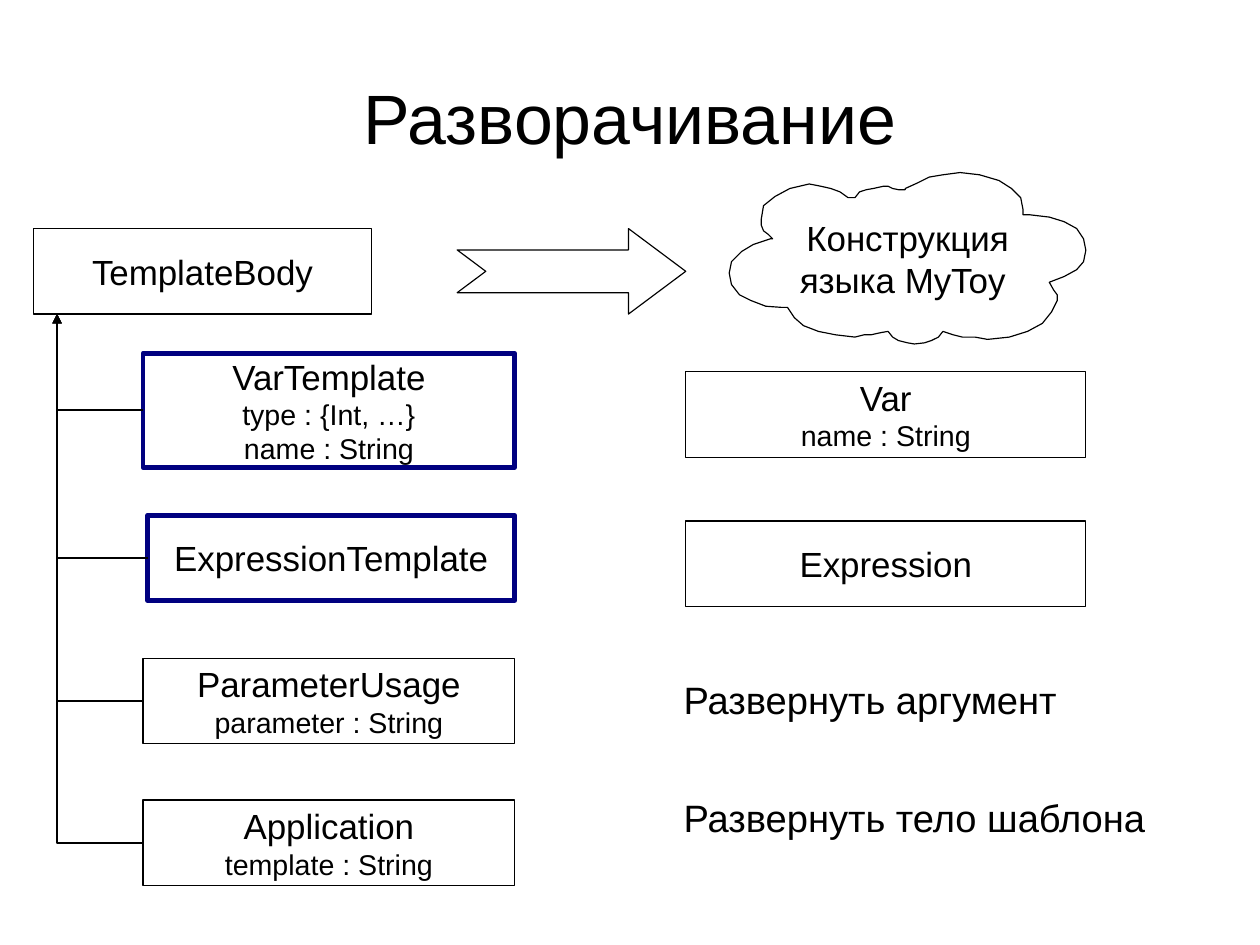
from dataclasses import dataclass

from pptx import Presentation
from pptx.dml.color import RGBColor
from pptx.enum import shapes, text
from pptx.oxml.ns import qn
from pptx.util import Cm, Pt
from lxml import etree


@dataclass(frozen=True)
class Theme:
    font: str = "Arial"
    ink: RGBColor = RGBColor(0, 0, 0)
    paper: RGBColor = RGBColor(255, 255, 255)
    accent: RGBColor = RGBColor(0, 0, 128)
    title: int = 44
    note: int = 24
    name: int = 22
    field: int = 18
    hairline: float = 0
    link: float = 1.45
    heavy: float = 2.89


THEME = Theme()
BOX_H = 1.9
LEFT_X, LEFT_W = 3.18, 8.26
RIGHT_X, RIGHT_W = 15.24, 8.89

# Cloud outline, in hundredths of an inch
CLOUD_UNIT = Cm(0.0254)
CLOUD = [
    (918, 247), (922, 254), (925, 258), (925, 263), (920, 273), (912, 283),
    (899, 290), (883, 295), (864, 297), (853, 295), (842, 295), (834, 293),
    (825, 290), (821, 295), (815, 298), (809, 300), (800, 301), (794, 300),
    (786, 298), (781, 295), (777, 290), (771, 291), (762, 293), (756, 293),
    (748, 295), (731, 293), (716, 290), (703, 285), (695, 278), (689, 269),
    (684, 269), (670, 268), (657, 263), (647, 258), (640, 249), (638, 239),
    (640, 229), (649, 220), (659, 214), (674, 209), (676, 209), (672, 205),
    (668, 202), (666, 197), (666, 192), (668, 180), (678, 172), (691, 165),
    (708, 161), (718, 163), (727, 165), (735, 168), (742, 173), (748, 173),
    (752, 168), (758, 166), (764, 165), (773, 163), (777, 163), (781, 165),
    (786, 166), (792, 166), (792, 165), (803, 160), (813, 155), (825, 153),
    (840, 151), (857, 153), (874, 158), (885, 165), (893, 173), (895, 183),
    (895, 188), (901, 188), (918, 190), (931, 194), (942, 200), (948, 209),
    (950, 219), (948, 229), (942, 236), (931, 242),
]


def write(s, lines, sizes, align=text.PP_ALIGN.CENTER, anchor=text.MSO_ANCHOR.MIDDLE):
    """Fill a shape with one paragraph per line, each in its own size."""
    tf = s.text_frame
    tf.word_wrap = True
    tf.vertical_anchor = anchor
    for i, (line, size) in enumerate(zip(lines, sizes)):
        p = tf.add_paragraph() if i else tf.paragraphs[0]
        p.alignment = align
        r = p.add_run()
        r.text = line
        r.font.name = THEME.font
        r.font.size = Pt(size)
        r.font.color.rgb = THEME.ink


def outline(s, color=THEME.ink, width=THEME.hairline):
    s.shadow.inherit = False
    s.fill.solid()
    s.fill.fore_color.rgb = THEME.paper
    s.line.color.rgb = color
    s.line.width = Pt(width)


def add_label(sp, x, y, w, h, line, size, **fmt):
    s = sp.add_textbox(Cm(x), Cm(y), Cm(w), Cm(h))
    write(s, [line], [size], **fmt)


def add_box(sp, x, y, w, h, name, *fields, **line):
    """Add a class box: its name, then its fields in smaller type."""
    s = sp.add_shape(shapes.MSO_SHAPE.RECTANGLE, Cm(x), Cm(y), Cm(w), Cm(h))
    outline(s, **line)
    write(s, [name, *fields], [THEME.name] + [THEME.field] * len(fields))
    return s


def add_arrow(sp, x, y, w, h):
    s = sp.add_shape(shapes.MSO_SHAPE.NOTCHED_RIGHT_ARROW, Cm(x), Cm(y), Cm(w), Cm(h))
    s.adjustments[0] = 0.5
    s.adjustments[1] = 0.67
    outline(s)


def add_cloud(sp, *lines):
    builder = sp.build_freeform(*CLOUD[0], scale=CLOUD_UNIT)
    builder.add_line_segments(CLOUD[1:], close=True)
    s = builder.convert_to_shape()
    outline(s)
    write(s, lines, [THEME.name] * len(lines))


def add_link(sp, child, x, y):
    """Lead from the left side of a child box across and up to a point."""
    s = sp.add_connector(shapes.MSO_CONNECTOR.ELBOW, child.left,
                         child.top + child.height // 2, x, y)
    s.begin_connect(child, 1)
    s.line.color.rgb = THEME.ink
    s.line.width = Pt(THEME.link)
    props = s._element.spPr
    props.find(qn("a:prstGeom")).set("prst", "bentConnector2")
    etree.SubElement(props.find(qn("a:ln")), qn("a:tailEnd"), type="triangle")
    etree.SubElement(props, qn("a:effectLst"))


def main():
    prs = Presentation()
    prs.slide_width, prs.slide_height = Cm(28), Cm(21)
    sp = prs.slides.add_slide(prs.slide_layouts[6]).shapes

    add_label(sp, 1.4, 0.97, 25.2, 3.25, "Разворачивание", THEME.title)

    body = add_box(sp, 0.74, 5.08, 7.52, BOX_H, "TemplateBody")
    add_arrow(sp, 10.16, 5.08, 5.08, BOX_H)
    add_cloud(sp, "Конструкция", "языка MyToy ")

    heavy = dict(color=THEME.accent, width=THEME.heavy)
    children = [
        add_box(sp, LEFT_X, 7.85, LEFT_W, 2.54, "VarTemplate",
                "type : {Int, …}", "name : String", **heavy),
        add_box(sp, LEFT_X + 0.1, 11.45, LEFT_W - 0.1, BOX_H,
                "ExpressionTemplate", **heavy),
        add_box(sp, LEFT_X, 14.63, LEFT_W, BOX_H, "ParameterUsage", "parameter : String"),
        add_box(sp, LEFT_X, 17.78, LEFT_W, BOX_H, "Application", "template : String"),
    ]
    for child in children:
        add_link(sp, child, Cm(1.27), body.top + body.height)

    add_box(sp, RIGHT_X, 8.26, RIGHT_W, BOX_H, "Var", "name : String")
    add_box(sp, RIGHT_X, 11.58, RIGHT_W, BOX_H, "Expression")
    for y, note in ((14.91, "Развернуть аргумент"), (17.53, "Развернуть тело шаблона")):
        add_label(sp, 14.94, y, 12.07, 1.19, note, THEME.note,
                  align=text.PP_ALIGN.LEFT, anchor=text.MSO_ANCHOR.TOP)

    prs.save("out.pptx")


if __name__ == "__main__":
    main()
